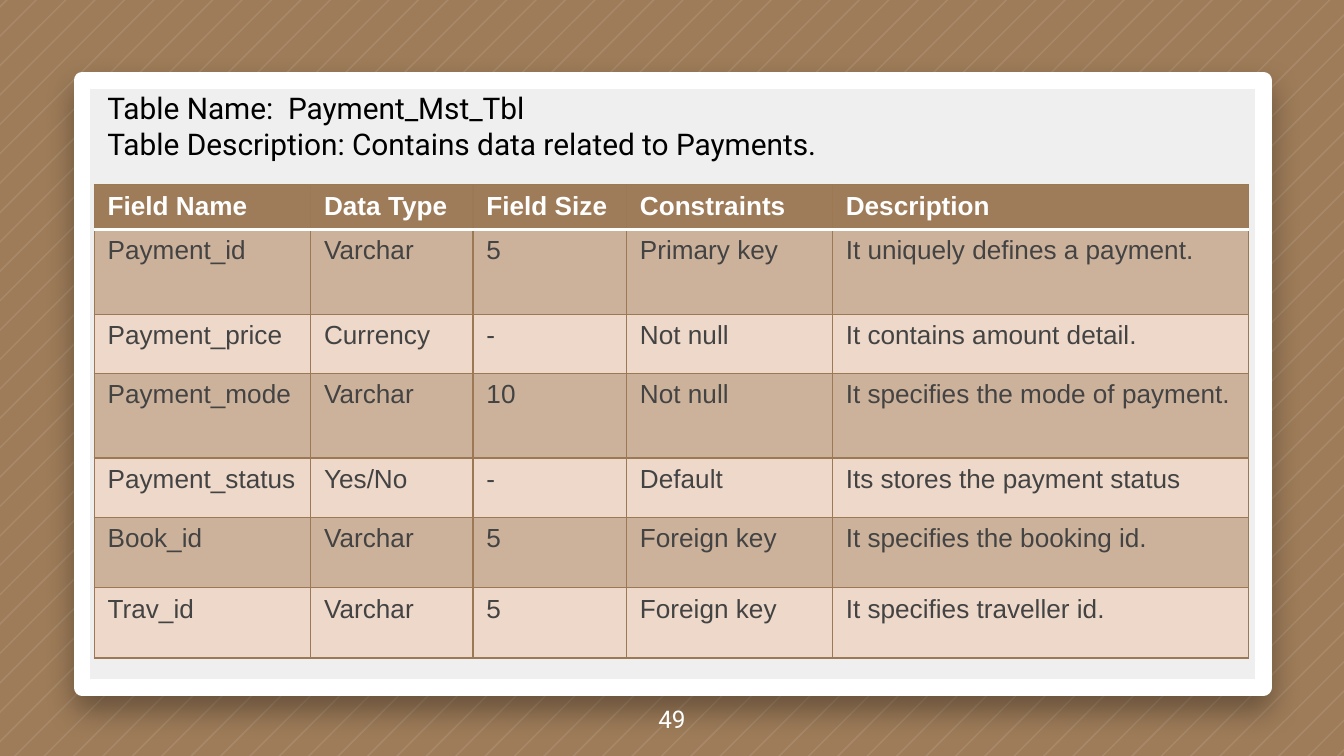
from dataclasses import dataclass

from lxml import etree
from pptx import Presentation
from pptx.dml.color import RGBColor
from pptx.enum.shapes import MSO_SHAPE
from pptx.enum.text import MSO_ANCHOR, PP_ALIGN
from pptx.oxml.ns import qn
from pptx.util import Cm, Pt

RECTANGLE = MSO_SHAPE.RECTANGLE
MIDDLE, TOP = MSO_ANCHOR.MIDDLE, MSO_ANCHOR.TOP
CENTER, LEFT = PP_ALIGN.CENTER, PP_ALIGN.LEFT

SLIDE_WIDTH, SLIDE_HEIGHT = Cm(25.4), Cm(14.29)
BROWN, WHITE, BORDER = "9E7C59", "FFFFFF", "9C7955"
DARK_BAND, LIGHT_BAND = "CDB29B", "EDD8C9"

HEADING_FONT = {"name": "Roboto", "size": Pt(16), "color": "000000"}
NUMBER_FONT = {"name": "Roboto", "size": Pt(13), "color": WHITE}
HEADER_FONT = {"name": "Arial", "size": Pt(14), "bold": True, "color": WHITE}
FIELD_FONT = {"name": "Arial", "size": Pt(14), "bold": False, "color": "434343"}

COLUMN_WIDTHS = (4.09, 3.07, 2.9, 3.89, 7.87)
HEADER = ("Field Name", "Data Type", "Field Size", "Constraints", "Description")
HEADER_HEIGHT = 0.79


@dataclass
class Box:
    left: float
    top: float
    width: float
    height: float

    def lengths(self) -> tuple:
        return Cm(self.left), Cm(self.top), Cm(self.width), Cm(self.height)


@dataclass
class Field:
    height: float
    values: tuple


FIELDS = [
    Field(1.6, ("Payment_id", "Varchar", "5", "Primary key", "It uniquely defines a payment.")),
    Field(1.12, ("Payment_price", "Currency", "-", "Not null", "It contains amount detail.")),
    Field(1.6, ("Payment_mode", "Varchar", "10", "Not null", "It specifies the mode of payment.")),
    Field(1.12, ("Payment_status", "Yes/No", "-", "Default", "Its stores the payment status")),
    Field(1.33, ("Book_id", "Varchar", "5", "Foreign key", "It specifies the booking id.")),
    Field(1.33, ("Trav_id", "Varchar", "5", "Foreign key", "It specifies traveller id.")),
]


def rgb(hex_color: str) -> RGBColor:
    return RGBColor.from_string(hex_color)


def paint(fill, hex_color: str) -> None:
    fill.solid()
    fill.fore_color.rgb = rgb(hex_color)


def add_color(parent, hex_color: str, alpha: int) -> None:
    color = etree.SubElement(parent, qn("a:srgbClr"), val=hex_color)
    etree.SubElement(color, qn("a:alpha"), val=str(alpha * 1000))


def format_font(font, values: dict) -> None:
    for name, value in values.items():
        if name == "color":
            font.color.rgb = rgb(value)
        else:
            setattr(font, name, value)


def write_lines(frame, lines: tuple, font: dict, align=LEFT) -> None:
    for index, line in enumerate(lines):
        paragraph = frame.paragraphs[0] if index == 0 else frame.add_paragraph()
        paragraph.alignment = align
        run = paragraph.add_run()
        run.text = line
        format_font(run.font, font)


def add_text(slide, box: Box, lines: tuple, font: dict, align=LEFT, anchor=TOP) -> None:
    frame = slide.shapes.add_textbox(*box.lengths()).text_frame
    frame.word_wrap = True
    frame.vertical_anchor = anchor
    write_lines(frame, lines, font, align)


def add_stripes(slide, count: int, first: float, step: float, thickness: float) -> None:
    """Diagonal bands between x + y = offset and x + y = offset + thickness."""
    def upper_end(offset: int) -> tuple:
        x = min(offset, SLIDE_WIDTH)
        return x, offset - x

    def lower_end(offset: int) -> tuple:
        y = min(offset, SLIDE_HEIGHT)
        return offset - y, y

    builder = None
    for index in range(count):
        near = Cm(first + index * step)
        far = near + Cm(thickness)
        start = upper_end(near)
        if builder is None:
            builder = slide.shapes.build_freeform(*start, scale=1.0)
        else:
            builder.move_to(*start)
        builder.add_line_segments([lower_end(near), lower_end(far), upper_end(far)], close=True)
    stripes = builder.convert_to_shape()
    stripes.shadow.inherit = False
    stripes.line.fill.background()
    paint(stripes.fill, WHITE)
    color = stripes.fill._xPr.find(qn("a:solidFill"))
    color.clear()
    add_color(color, WHITE, 10)


def add_panel(slide, box: Box) -> None:
    panel = slide.shapes.add_shape(RECTANGLE, *box.lengths())
    panel.shadow.inherit = False
    paint(panel.fill, "EFEFEF")
    paint(panel.line.fill, WHITE)
    panel.line.width = Pt(9)
    effects = panel._element.spPr.find(qn("a:effectLst"))
    shadow = etree.SubElement(effects, qn("a:outerShdw"), blurRad=str(Pt(16.9)),
                              dist=str(Pt(7.5)), dir="5400000", algn="bl", rotWithShape="0")
    add_color(shadow, "000000", 35)


def set_borders(cell, borders: dict) -> None:
    properties = cell._tc.get_or_add_tcPr()
    for index, (side, (hex_color, width)) in enumerate(borders.items()):
        line = etree.Element(qn(f"a:ln{side}"), w=str(Pt(width)))
        fill = etree.SubElement(line, qn("a:solidFill"))
        add_color(fill, hex_color, 100)
        properties.insert(index, line)


def add_field_table(slide, box: Box) -> None:
    rows = [Field(HEADER_HEIGHT, HEADER), *FIELDS]
    table = slide.shapes.add_table(len(rows), len(HEADER), *box.lengths()).table
    table.horz_banding = False
    for column, width in zip(table.columns, COLUMN_WIDTHS):
        column.width = Cm(width)

    thin, rule = (BORDER, 0.75), (WHITE, 2)
    for row_index, field in enumerate(rows):
        table.rows[row_index].height = Cm(field.height)
        is_header = row_index == 0
        band = BROWN if is_header else DARK_BAND if row_index % 2 else LIGHT_BAND
        borders = {"L": thin, "R": thin, "T": rule if row_index == 1 else thin,
                   "B": rule if is_header else thin}
        for column_index, value in enumerate(field.values):
            cell = table.cell(row_index, column_index)
            paint(cell.fill, band)
            set_borders(cell, borders)
            write_lines(cell.text_frame, (value,), HEADER_FONT if is_header else FIELD_FONT)


def main() -> None:
    presentation = Presentation()
    presentation.slide_width, presentation.slide_height = SLIDE_WIDTH, SLIDE_HEIGHT
    slide = presentation.slides.add_slide(presentation.slide_layouts[6])

    # Striped backdrop and framed panel
    paint(slide.background.fill, BROWN)
    add_stripes(slide, count=72, first=0.11, step=5 / 9, thickness=0.04)
    add_panel(slide, Box(1.55, 1.52, 22.33, 11.47))

    # Slide number
    add_text(slide, Box(0, 12.9, 25.4, 1.37), ("49",), NUMBER_FONT, CENTER, MIDDLE)

    # Field table and its heading
    add_field_table(slide, Box(1.78, 3.49, sum(COLUMN_WIDTHS), 8.89))
    add_text(slide, Box(1.78, 1.57, 21.29, 1.63), (
        "Table Name:  Payment_Mst_Tbl",
        "Table Description: Contains data related to Payments.",
    ), HEADING_FONT)

    presentation.save("out.pptx")


if __name__ == "__main__":
    main()
